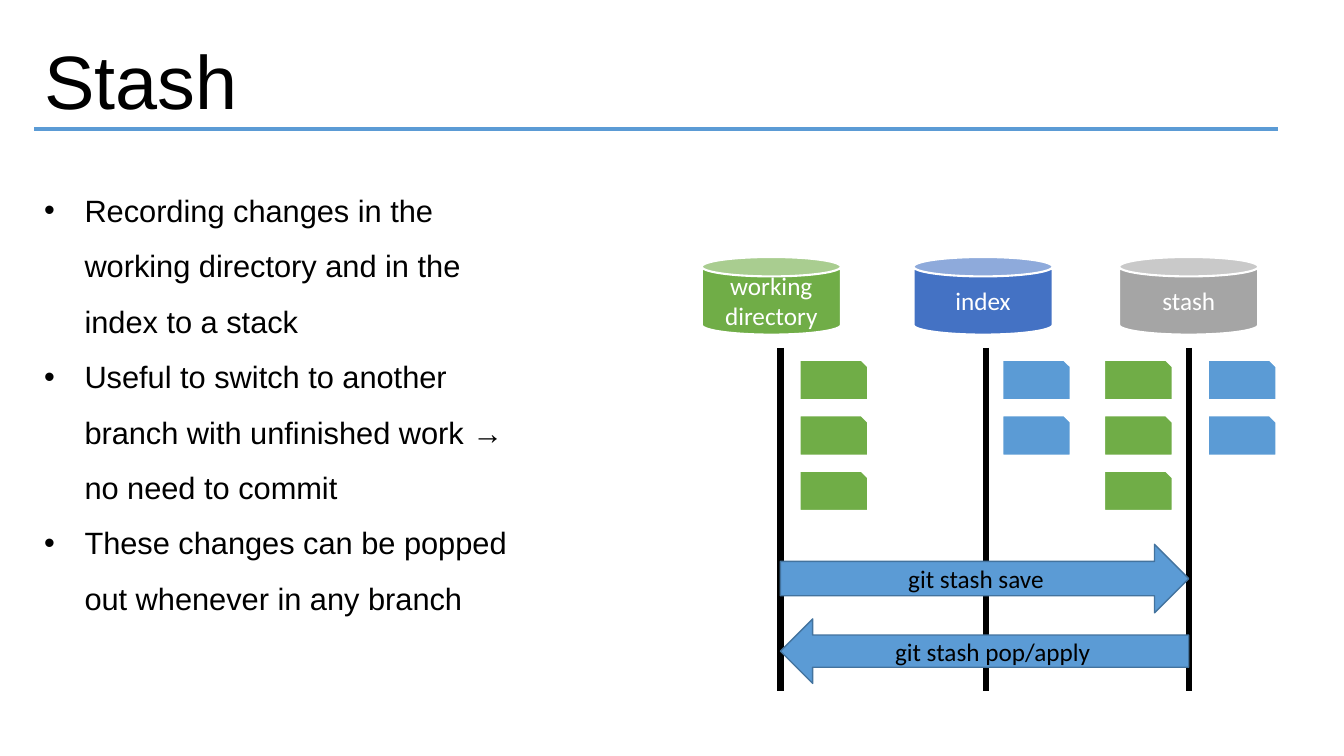
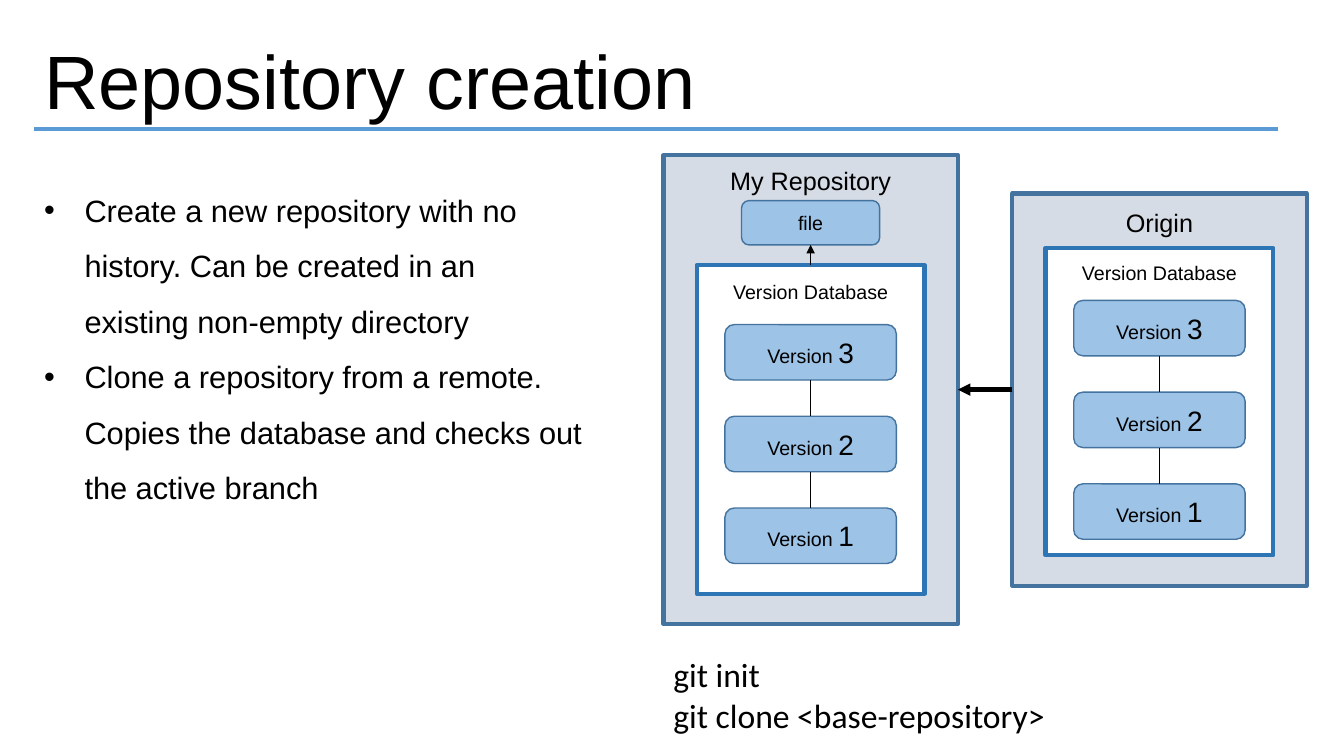
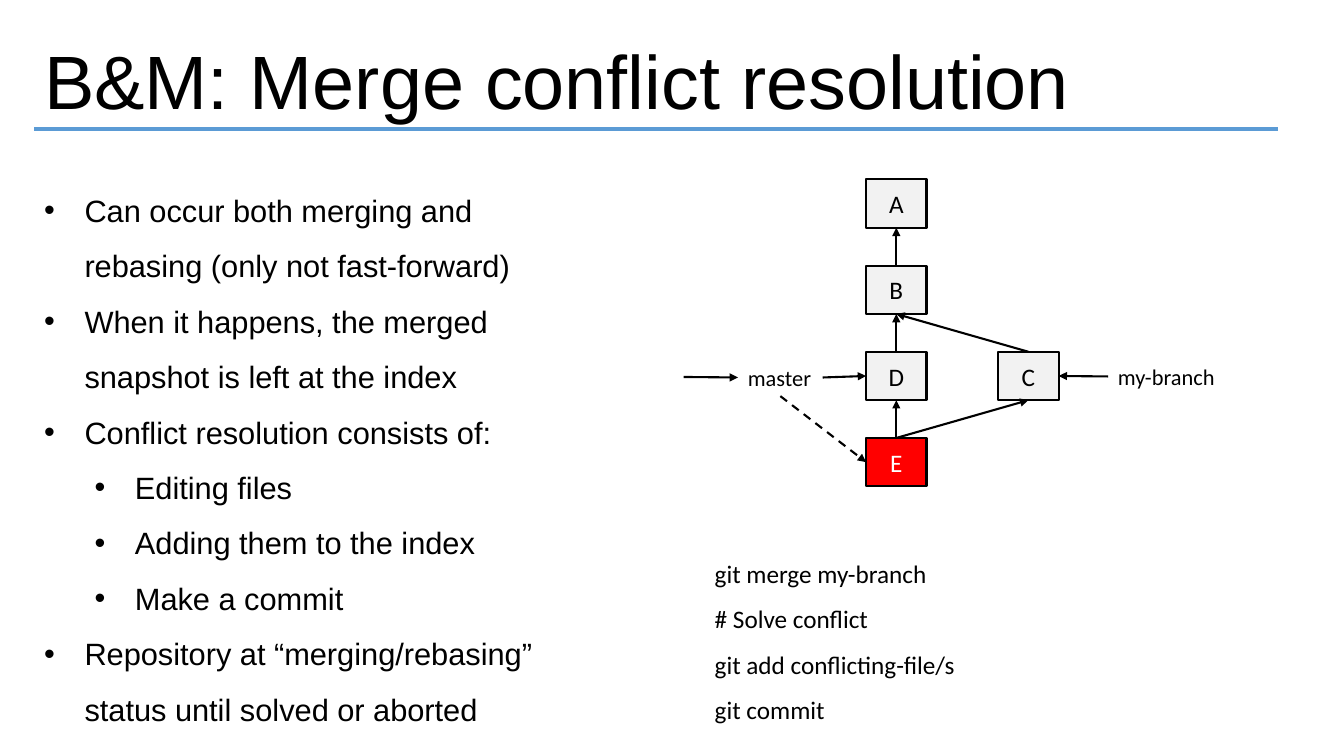
from dataclasses import dataclass
from typing import Any, NamedTuple, Optional

from lxml.etree import SubElement
from pptx import Presentation
from pptx.dml.color import RGBColor
from pptx.enum.dml import MSO_LINE_DASH_STYLE as Dash
from pptx.enum.shapes import MSO_CONNECTOR as Connector, MSO_SHAPE as Preset
from pptx.enum.text import MSO_ANCHOR as Anchor, MSO_AUTO_SIZE as AutoSize, PP_ALIGN as Align
from pptx.oxml.ns import qn
from pptx.util import Emu, Inches, Pt

# Grid: 75 rows of square cells over the height of the slide
SLIDE_WIDTH, SLIDE_HEIGHT = Inches(13.33), Inches(7.5)
CELL = SLIDE_HEIGHT / 75
TOP, LEFT, BOTTOM, RIGHT = range(4)


@dataclass(frozen=True)
class Theme:
    heading: str = "Arial"
    plain: str = "Calibri"
    black: str = "000000"
    white: str = "FFFFFF"
    accent: str = "5B9BD5"
    edge: str = "43739E"
    green: str = "70AD47"
    blue: str = "4472C4"
    gray: str = "A5A5A5"
    panel: str = "D6DCE5"
    database_edge: str = "2E75B6"
    version: str = "9DC3E6"
    commit: str = "F2F2F2"
    conflict: str = "FF0000"
    title_size: int = 54
    command_size: int = 24
    body_size: int = 22
    number_size: int = 20
    label_size: int = 18
    branch_size: int = 16
    small_size: int = 14


THEME = Theme()


class Box(NamedTuple):
    left: float
    top: float
    width: float
    height: float

    @property
    def middle(self) -> float:
        return self.left + self.width / 2

    def centred(self, top: float, width: float, height: float) -> "Box":
        return Box(self.middle - width / 2, top, width, height)


class Point(NamedTuple):
    x: float
    y: float


class Joint(NamedTuple):
    shape: Any
    side: int


class Run(NamedTuple):
    text: str
    size: int


class Bullet(NamedTuple):
    text: str
    level: int = 0


@dataclass(frozen=True)
class TextStyle:
    size: int = THEME.label_size
    font: str = THEME.plain
    color: str = THEME.black
    align: Align = Align.LEFT
    spacing: float = 1.0


@dataclass(frozen=True)
class Cards:
    left: float
    color: str
    count: int


@dataclass(frozen=True)
class Lane:
    x: float
    can_left: float
    name: str
    color: str


@dataclass(frozen=True)
class Repository:
    name: str
    panel: Box
    database: Box
    name_top: float
    name_width: float
    label_top: float
    versions_top: float


CENTRED = TextStyle(align=Align.CENTER)
WHITE_CENTRED = TextStyle(color=THEME.white, align=Align.CENTER)
SMALL = TextStyle(THEME.small_size, THEME.heading, align=Align.CENTER)


# Shared helpers
def cells(*counts: float) -> list[Emu]:
    return [Emu(round(count * CELL)) for count in counts]


def apply_format(target: Any, values: dict[str, Any]) -> None:
    for name, value in values.items():
        setattr(target, name, value)


def write(paragraph: Any, runs: list[Run], style: TextStyle) -> None:
    apply_format(paragraph, {"alignment": style.align, "line_spacing": style.spacing})
    for text, size in runs:
        for number, line in enumerate(text.split("\n")):
            if number:
                paragraph.add_line_break()
            run = paragraph.add_run()
            run.text = line
            apply_format(run.font, {"size": Pt(size), "name": style.font})
            run.font.color.rgb = RGBColor.from_string(style.color)


def next_paragraph(frame: Any, index: int) -> Any:
    return frame.add_paragraph() if index else frame.paragraphs[0]


def add_label(slide: Any, box: Box, lines: list[str], style: TextStyle) -> Any:
    label = slide.shapes.add_textbox(*cells(*box))
    frame = label.text_frame
    apply_format(frame, {"word_wrap": False, "auto_size": AutoSize.SHAPE_TO_FIT_TEXT})
    for index, line in enumerate(lines):
        write(next_paragraph(frame, index), [Run(line, style.size)], style)
    return label


def add_block(slide: Any, preset: Preset, box: Box, fill: str, edge: str, weight: float,
              runs: Optional[list[Run]] = None, style: TextStyle = CENTRED) -> Any:
    shape = slide.shapes.add_shape(preset, *cells(*box))
    shape.shadow.inherit = False
    shape.fill.solid()
    shape.fill.fore_color.rgb = RGBColor.from_string(fill)
    shape.line.color.rgb = RGBColor.from_string(edge)
    shape.line.width = Pt(weight)
    if runs:
        frame = shape.text_frame
        margins = {f"margin_{side}": 0 for side in ("left", "top", "right", "bottom")}
        apply_format(frame, {"word_wrap": True, "vertical_anchor": Anchor.MIDDLE, **margins})
        write(frame.paragraphs[0], runs, style)
    return shape


def add_line(slide: Any, start: Point | Joint, end: Point | Joint, weight: float,
             color: str = THEME.black, arrow: bool = False, dashed: bool = False) -> None:
    points = [place if isinstance(place, Point) else Point(0, 0) for place in (start, end)]
    line = slide.shapes.add_connector(Connector.STRAIGHT, *cells(*points[0], *points[1]))
    for place, connect in ((start, line.begin_connect), (end, line.end_connect)):
        if isinstance(place, Joint):
            connect(place.shape, place.side)
    line.line.color.rgb = RGBColor.from_string(color)
    line.line.width = Pt(weight)
    if dashed:
        line.line.dash_style = Dash.DASH
    if arrow:
        SubElement(line.line._get_or_add_ln(), qn("a:tailEnd"), type="triangle")
    SubElement(line._element.spPr, qn("a:effectLst"))


def add_bullets(slide: Any, bullets: list[Bullet], height: float) -> None:
    body = slide.shapes.add_textbox(*cells(3.4, 16.7, 59.3, height))
    frame = body.text_frame
    apply_format(frame, {"word_wrap": True, "auto_size": AutoSize.SHAPE_TO_FIT_TEXT})
    style = TextStyle(THEME.body_size, THEME.heading, spacing=1.5)
    hanging = Inches(0.4)
    for index, bullet in enumerate(bullets):
        paragraph = next_paragraph(frame, index)
        write(paragraph, [Run(bullet.text, style.size)], style)
        paragraph.level = bullet.level
        properties = paragraph._p.get_or_add_pPr()
        properties.set("marL", str(hanging + bullet.level * Inches(0.5)))
        properties.set("indent", str(-hanging))
        SubElement(properties, qn("a:buFont"), typeface=THEME.heading)
        SubElement(properties, qn("a:buChar"), char="•")


def start_slide(presentation: Any, title: str, title_width: float,
                bullets: list[Bullet], body_height: float) -> Any:
    slide = presentation.slides.add_slide(presentation.slide_layouts[6])
    add_label(slide, Box(3.4, 2.9, title_width, 10.1), [title],
              TextStyle(THEME.title_size, THEME.heading))
    add_line(slide, Point(3.4, 12.8), Point(126.8, 12.8), 3, THEME.accent)
    add_bullets(slide, bullets, body_height)
    return slide


# Stash: three lanes with cards, and arrows between the outer lanes
def build_stash(presentation: Any) -> None:
    slide = start_slide(presentation, "Stash", 21.4, [
        Bullet("Recording changes in the\nworking directory and in the\nindex to a stack"),
        Bullet("Useful to switch to another\nbranch with unfinished work →\nno need to commit"),
        Bullet("These changes can be popped\nout whenever in any branch"),
    ], 45.4)
    lanes = [
        Lane(77.4, 69.6, "working\ndirectory", THEME.green),
        Lane(97.8, 90.6, "index", THEME.blue),
        Lane(117.9, 111, "stash", THEME.gray),
    ]
    for lane in lanes:
        add_line(slide, Point(lane.x, 34.5), Point(lane.x, 68.6), 4.5)
        add_block(slide, Preset.CAN, Box(lane.can_left, 25.5, 13.8, 7.7), lane.color,
                  THEME.white, 1.5, [Run(lane.name, THEME.label_size)], WHITE_CENTRED)
    for cards in (Cards(79.3, THEME.green, 3), Cards(109.5, THEME.green, 3),
                  Cards(99.4, THEME.accent, 2), Cards(119.8, THEME.accent, 2)):
        for row in range(cards.count):
            add_block(slide, Preset.SNIP_1_RECTANGLE,
                      Box(cards.left, 35.7 + 5.5 * row, 6.8, 4), cards.color, THEME.white, 1.5)
    span = lanes[-1].x - lanes[0].x
    for preset, top, height, command in (
            (Preset.RIGHT_ARROW, 54, 6.8, "git stash save"),
            (Preset.LEFT_ARROW, 61.4, 6.4, "git stash pop/apply")):
        add_block(slide, preset, Box(lanes[0].x, top, span, height), THEME.accent,
                  THEME.edge, 1, [Run(command, THEME.label_size)])


# Repository creation: two repositories, each with a chain of versions
def add_repository(slide: Any, repository: Repository) -> tuple[Any, Any]:
    panel = add_block(slide, Preset.RECTANGLE, repository.panel, THEME.panel, THEME.edge, 3)
    database = add_block(slide, Preset.RECTANGLE, repository.database, THEME.white,
                         THEME.database_edge, 3)
    add_label(slide, repository.panel.centred(repository.name_top, repository.name_width, 4),
              [repository.name], TextStyle(THEME.label_size, THEME.heading, align=Align.CENTER))
    add_label(slide, repository.database.centred(repository.label_top, 18.5, 3.4),
              ["Version Database"], SMALL)
    newer = None
    for row, number in enumerate("321"):
        box = repository.database.centred(repository.versions_top + 9.1 * row, 17, 5.5)
        version = add_block(slide, Preset.ROUNDED_RECTANGLE, box, THEME.version, THEME.edge, 1,
                            [Run("Version ", THEME.small_size), Run(number, THEME.number_size)],
                            SMALL)
        if newer:
            add_line(slide, Joint(version, TOP), Joint(newer, BOTTOM), 1)
        newer = version
    return panel, database


def build_repository_creation(presentation: Any) -> None:
    slide = start_slide(presentation, "Repository creation", 72, [
        Bullet("Create a new repository with no\nhistory. Can be created in an\n"
               "existing non-empty directory"),
        Bullet("Clone a repository from a remote.\nCopies the database and checks out\n"
               "the active branch"),
    ], 34.3)
    mine = Repository("My Repository", Box(65.8, 15.4, 29.2, 46.5),
                      Box(69.1, 26.3, 22.6, 32.6), 15.9, 19.5, 27.3, 32.2)
    origin = Repository("Origin", Box(100.4, 19.2, 29.2, 38.9),
                        Box(103.7, 24.6, 22.6, 30.5), 20.1, 9.5, 25.4, 29.8)
    my_panel, my_database = add_repository(slide, mine)
    origin_panel, _ = add_repository(slide, origin)
    file = add_block(slide, Preset.ROUNDED_RECTANGLE, mine.database.centred(19.9, 13.7, 4.4),
                     THEME.version, THEME.edge, 1, [Run("file", THEME.small_size)], SMALL)
    add_line(slide, Joint(my_database, TOP), Joint(file, BOTTOM), 0.5, arrow=True)
    add_line(slide, Joint(origin_panel, LEFT), Joint(my_panel, RIGHT), 3, arrow=True)
    add_label(slide, Box(65.8, 64.4, 39.2, 9.1), ["git init", "git clone <base-repository>"],
              TextStyle(THEME.command_size))


# Merge conflict resolution: commit graph with branch names
def build_merge_conflict(presentation: Any) -> None:
    slide = start_slide(presentation, "B&M: Merge conflict resolution", 110.9, [
        Bullet("Can occur both merging and\nrebasing (only not fast-forward)"),
        Bullet("When it happens, the merged\nsnapshot is left at the index"),
        Bullet("Conflict resolution consists of:"),
        Bullet("Editing files", 1),
        Bullet("Adding them to the index", 1),
        Bullet("Make a commit", 1),
        Bullet("Repository at “merging/rebasing”\nstatus until solved or aborted"),
    ], 56.5)
    commits = {}
    for name, column, row in (("A", 0, 0), ("B", 0, 1), ("D", 0, 2), ("E", 0, 3), ("C", 1, 2)):
        conflict = name == "E"
        commits[name] = add_block(
            slide, Preset.RECTANGLE, Box(85.9 + 13.1 * column, 17.8 + 8.55 * row, 6, 4.8),
            THEME.conflict if conflict else THEME.commit, THEME.black, 1.5,
            [Run(name, THEME.label_size)], WHITE_CENTRED if conflict else CENTRED)
    for child, parent in ("BA", "DB", "ED", "CB", "EC"):
        add_line(slide, Joint(commits[child], TOP), Joint(commits[parent], BOTTOM), 1.5,
                 arrow=True)

    branch_style = TextStyle(THEME.branch_size)
    master = add_label(slide, Box(73.2, 35.6, 8.4, 3.7), ["master"], branch_style)
    my_branch = add_label(slide, Box(109.9, 35.5, 11.7, 3.7), ["my-branch"], branch_style)
    for start, end, dashed in (
            (Joint(my_branch, LEFT), Joint(commits["C"], RIGHT), False),
            (Joint(master, RIGHT), Joint(commits["D"], LEFT), False),
            (Point(67.8, 37.4), Joint(master, LEFT), False),
            (Joint(master, BOTTOM), Joint(commits["E"], LEFT), True)):
        add_line(slide, start, end, 1.5, arrow=True, dashed=dashed)
    add_label(slide, Box(69.9, 53.4, 26.2, 19.2),
              ["git merge my-branch", "# Solve conflict", "git add conflicting-file/s",
               "git commit"], TextStyle(spacing=1.5))


def main() -> None:
    presentation = Presentation()
    apply_format(presentation, {"slide_width": SLIDE_WIDTH, "slide_height": SLIDE_HEIGHT})
    for build in (build_stash, build_repository_creation, build_merge_conflict):
        build(presentation)
    presentation.save("out.pptx")


if __name__ == "__main__":
    main()
